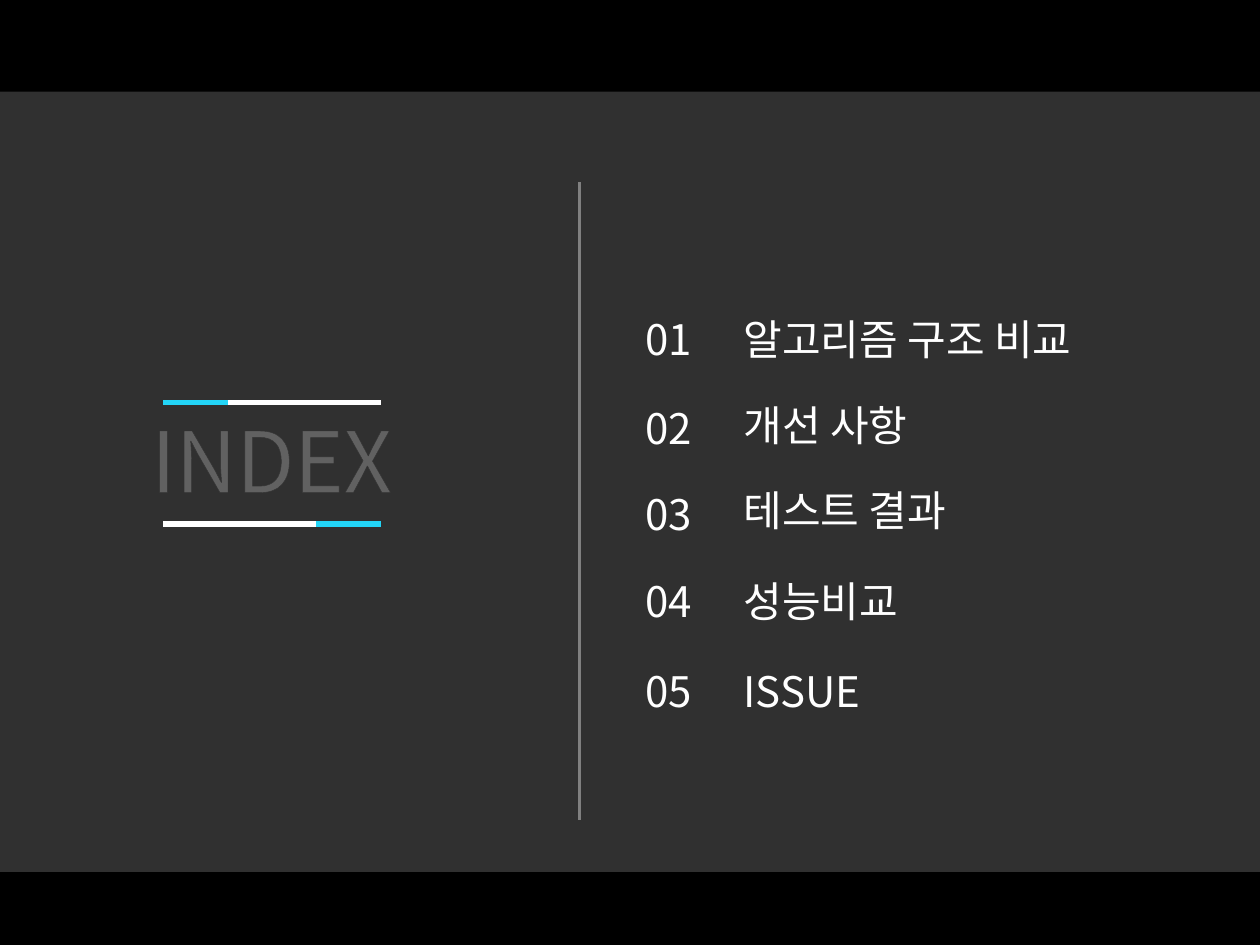
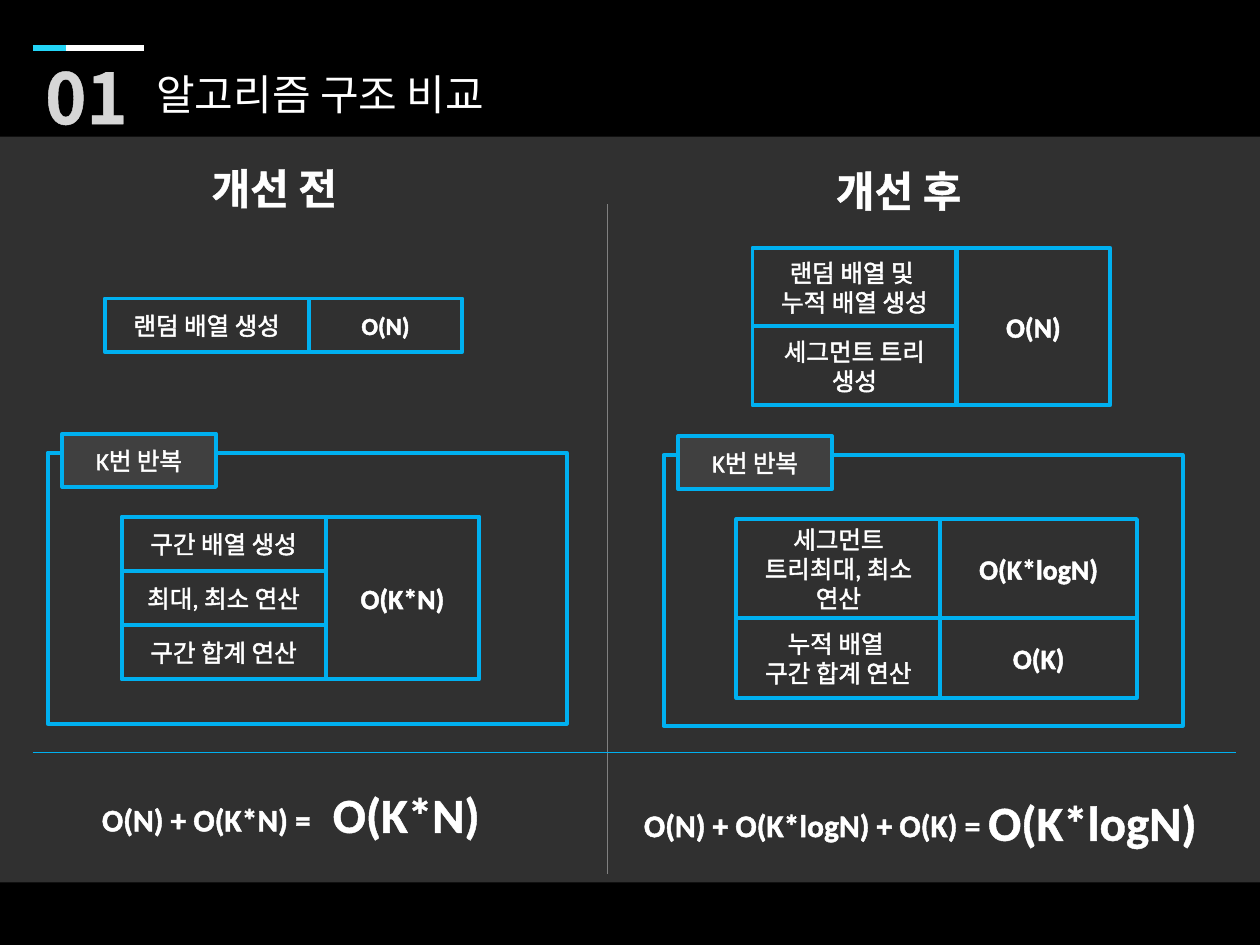
from dataclasses import dataclass
from itertools import zip_longest
from typing import Optional

from lxml.etree import SubElement
from pptx import Presentation
from pptx.dml.color import RGBColor
from pptx.enum.shapes import MSO_CONNECTOR, MSO_SHAPE
from pptx.enum.text import MSO_ANCHOR as Anchor, MSO_AUTO_SIZE as AutoSize, PP_ALIGN as Align
from pptx.oxml.ns import qn
from pptx.util import Pt

COLORS = {
    "backdrop": "000000",
    "band": "303030",
    "tab": "404040",
    "white": "FFFFFF",
    "accent": "23D5F7",
    "box": "00B0F0",
    "divider": "808080",
}
KOREAN = "Noto Sans CJK KR"
LATIN = "Calibri"
BOX_LINE = 2.25
STEP_WIDTH, TAB_WIDTH, ROW_HEIGHT = 116.6, 87.8, 30.5


@dataclass(frozen=True)
class Area:
    left: float
    top: float
    width: float
    height: float

    def emu(self) -> tuple:
        return Pt(self.left), Pt(self.top), Pt(self.width), Pt(self.height)


@dataclass(frozen=True)
class Style:
    size: float
    font: str = LATIN
    bold: bool = False
    align: Align = Align.CENTER
    outline: Optional[str] = "white"
    opacity: int = 100


@dataclass(frozen=True)
class IndexColumn:
    area: Area
    align: Align
    entries: tuple
    gaps: tuple


@dataclass(frozen=True)
class Cell:
    text: str
    height: float
    style: Style


@dataclass(frozen=True)
class CostBlock:
    """Steps stacked on the left, their costs stacked on the right."""
    left: float
    top: float
    cost_width: float
    steps: tuple
    costs: tuple


@dataclass(frozen=True)
class Caption:
    text: str
    area: Area
    style: Style
    anchor: Anchor = Anchor.TOP


INDEX_TITLE = Style(48, KOREAN, outline="tab", opacity=23)
SECTION_TITLE = Style(24, KOREAN, align=Align.LEFT, outline=None)
SECTION_NUMBER = Style(40, KOREAN, True, Align.LEFT, opacity=84)
HEADING = Style(24, bold=True, align=Align.LEFT)
STEP = Style(14)
SMALL_COST = Style(14, bold=True)
COST = Style(16, bold=True)
SUM = Style(18, bold=True)
RESULT = Style(28, bold=True)


# Shared drawing helpers
def rgb(name: str) -> RGBColor:
    return RGBColor.from_string(COLORS[name])


def add_run(paragraph, text: str, style: Style) -> None:
    paragraph.alignment = style.align
    run = paragraph.add_run()
    run.text = text
    font = run.font
    font.size, font.bold, font.name = Pt(style.size), style.bold, style.font
    font.color.rgb = rgb("white")
    if style.outline:
        props = font._element
        outline = SubElement(props, qn("a:ln"), w=str(Pt(0.75)))
        fill = SubElement(outline, qn("a:solidFill"))
        color = SubElement(fill, qn("a:srgbClr"), val=COLORS[style.outline])
        if style.opacity < 100:
            SubElement(color, qn("a:alpha"), val=str(style.opacity * 1000))
        props.insert(0, outline)


def write(shape, text: str, style: Style, anchor: Anchor) -> None:
    frame = shape.text_frame
    frame.word_wrap = True
    frame.auto_size = AutoSize.NONE
    frame.vertical_anchor = anchor
    for number, line in enumerate(text.split("\n")):
        paragraph = frame.add_paragraph() if number else frame.paragraphs[0]
        add_run(paragraph, line, style)


def place(shape, area: Area) -> None:
    shape.left, shape.top, shape.width, shape.height = area.emu()


def add_caption(slide, caption: Caption) -> None:
    box = slide.shapes.add_textbox(*caption.area.emu())
    write(box, caption.text, caption.style, caption.anchor)


def set_title(slide, text: str, area: Area, style: Style) -> None:
    place(slide.shapes.title, area)
    write(slide.shapes.title, text, style, Anchor.TOP)


def add_rect(slide, area: Area, fill: Optional[str] = None, line: Optional[str] = "box"):
    rect = slide.shapes.add_shape(MSO_SHAPE.RECTANGLE, *area.emu())
    rect.shadow.inherit = False
    if fill:
        rect.fill.solid()
        rect.fill.fore_color.rgb = rgb(fill)
    else:
        rect.fill.background()
    if line:
        rect.line.color.rgb = rgb(line)
        rect.line.width = Pt(BOX_LINE)
    else:
        rect.line.fill.background()
    return rect


def add_line(slide, x1: float, y1: float, x2: float, y2: float, color: str, width: float) -> None:
    line = slide.shapes.add_connector(MSO_CONNECTOR.STRAIGHT, Pt(x1), Pt(y1), Pt(x2), Pt(y2))
    line.line.color.rgb = rgb(color)
    line.line.width = Pt(width)
    SubElement(line.element.spPr, qn("a:effectLst"))


def add_accent_rule(slide, left: float, split: float, right: float, y: float,
                    colors: tuple = ("accent", "white")) -> None:
    for start, end, color in zip((left, split), (split, right), colors):
        add_line(slide, start, y, end, y, color, 3)


def add_band(slide, top: float, height: float) -> None:
    band = add_rect(slide, Area(0, top, 720, height), "band", None)
    slide.shapes.title.element.addprevious(band.element)


# Index slide parts
def fill_index_column(placeholder, column: IndexColumn) -> None:
    place(placeholder, column.area)
    style = Style(24, KOREAN, align=column.align, outline=None)
    write(placeholder, "\n".join(column.entries), style, Anchor.TOP)
    for paragraph, gap in zip_longest(placeholder.text_frame.paragraphs, column.gaps, fillvalue=0):
        paragraph.space_before = Pt(0)
        paragraph.space_after = Pt(gap)
        props = paragraph._p.get_or_add_pPr()
        props.set("marL", "0")
        props.set("indent", "0")
        SubElement(props, qn("a:buNone"))


# Comparison slide parts
def add_cost_block(slide, block: CostBlock) -> None:
    columns = ((block.left, STEP_WIDTH, block.steps),
               (block.left + STEP_WIDTH, block.cost_width, block.costs))
    for left, width, cells in columns:
        top = block.top
        for cell in cells:
            box = add_rect(slide, Area(left, top, width, cell.height))
            write(box, cell.text, cell.style, Anchor.MIDDLE)
            top += cell.height


def add_loop_frame(slide, left: float, top: float) -> None:
    add_rect(slide, Area(left, top, 296.6, 154.8))
    tab = add_rect(slide, Area(left + 8.4, top - 10.9, TAB_WIDTH, ROW_HEIGHT), "tab")
    write(tab, "K번 반복", STEP, Anchor.MIDDLE)


TOPICS = ("알고리즘 구조 비교", "개선 사항", "테스트 결과", "성능비교", "ISSUE")
NUMBERS = tuple(f"{n:02d}" for n in range(1, len(TOPICS) + 1))
INDEX_COLUMNS = (
    IndexColumn(Area(346.1, 175.7, 72, 240), Align.CENTER, NUMBERS, (21.7, 20.8, 20.6, 22.9)),
    IndexColumn(Area(417.6, 175.7, 286.6, 240), Align.LEFT, TOPICS, (20, 20, 22.9, 22.9)),
)

LOOP_FRAMES = ((27.2, 258.7), (379.2, 260))
COST_BLOCKS = (
    CostBlock(59.8, 170.6, TAB_WIDTH,
              (Cell("랜덤 배열 생성", ROW_HEIGHT, STEP),),
              (Cell("O(N)", ROW_HEIGHT, SMALL_COST),)),
    CostBlock(69.5, 295.2, TAB_WIDTH,
              tuple(Cell(step, 31, STEP)
                    for step in ("구간 배열 생성", "최대, 최소 연산", "구간 합계 연산")),
              (Cell("O(K*N)", 93, COST),)),
    CostBlock(430, 141.6, TAB_WIDTH,
              (Cell("랜덤 배열 및 \n누적 배열 생성", 45, STEP),
               Cell("세그먼트 트리 생성", 45, STEP)),
              (Cell("O(N)", 90, COST),)),
    CostBlock(420.8, 296.6, 112.3,
              (Cell("세그먼트 트리최대, 최소 연산", 56.5, STEP),
               Cell("누적 배열 \n구간 합계 연산", 45.8, STEP)),
              (Cell("O(K*logN)", 56.5, COST), Cell("O(K)", 45.6, COST))),
)
CAPTIONS = (
    Caption(NUMBERS[0], Area(18.7, 27.4, 65.5, 55.4), SECTION_NUMBER),
    Caption("개선 전", Area(113.8, 89.3, 123.1, 36), HEADING),
    Caption("개선 후", Area(470.6, 90.7, 123.1, 36), HEADING),
    Caption("O(N) + O(K*N) = ", Area(37.9, 453.6, 164.2, 29), SUM),
    Caption("O(K*N)", Area(168.8, 438.5, 126.7, 52.6), RESULT, Anchor.MIDDLE),
    Caption("O(N) + O(K*logN) + O(K) = ", Area(352.8, 456.8, 226.8, 29), SUM),
    Caption("O(K*logN)", Area(551.5, 443, 145.4, 52.6), RESULT, Anchor.MIDDLE),
)


def build_index(prs) -> None:
    slide = prs.slides.add_slide(prs.slide_layouts.get_by_name("Two Content"))
    add_band(slide, 52.4, 445.9)
    set_title(slide, "INDEX", Area(28.8, 229.9, 252.7, 65.5), INDEX_TITLE)
    add_accent_rule(slide, 93.3, 130.3, 217.7, 230)
    add_accent_rule(slide, 93.3, 180.7, 217.7, 299.5, ("white", "accent"))
    add_line(slide, 331.2, 104.1, 331.2, 468.8, "divider", 1.75)
    for idx, column in enumerate(INDEX_COLUMNS, start=1):
        fill_index_column(slide.placeholders[idx], column)


def build_comparison(prs) -> None:
    slide = prs.slides.add_slide(prs.slide_layouts.get_by_name("Title Only"))
    add_band(slide, 78, 426.2)
    set_title(slide, TOPICS[0], Area(82.1, 35.3, 269.3, 36), SECTION_TITLE)
    add_accent_rule(slide, 18.7, 37.6, 82.1, 27.4)
    add_line(slide, 347, 116.6, 347, 499.7, "divider", 0.5)
    add_line(slide, 18.7, 429.8, 706.3, 429.8, "box", 0.5)
    for left, top in LOOP_FRAMES:
        add_loop_frame(slide, left, top)
    for block in COST_BLOCKS:
        add_cost_block(slide, block)
    for caption in CAPTIONS:
        add_caption(slide, caption)


def main() -> None:
    prs = Presentation()
    prs.slide_width, prs.slide_height = Pt(720), Pt(540)
    backdrop = prs.slide_master.background.fill
    backdrop.solid()
    backdrop.fore_color.rgb = rgb("backdrop")
    build_index(prs)
    build_comparison(prs)
    prs.save("out.pptx")


if __name__ == "__main__":
    main()
